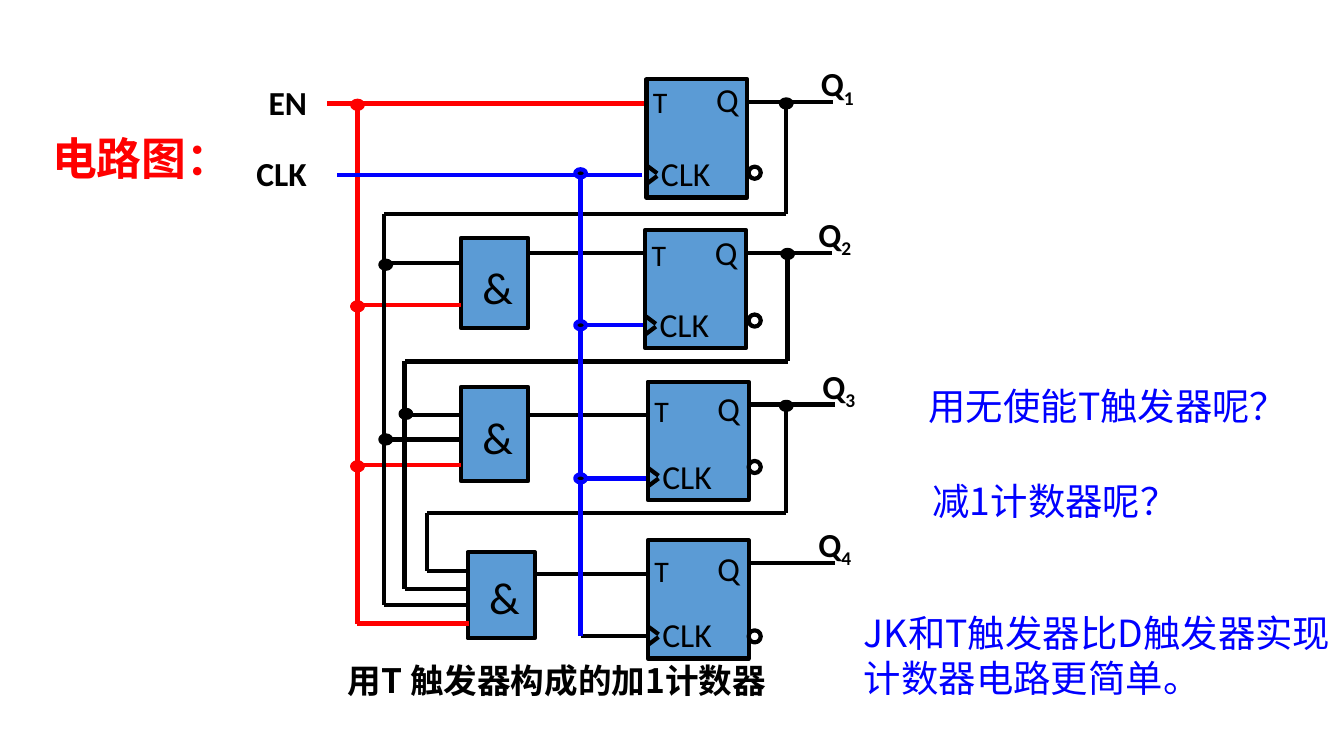
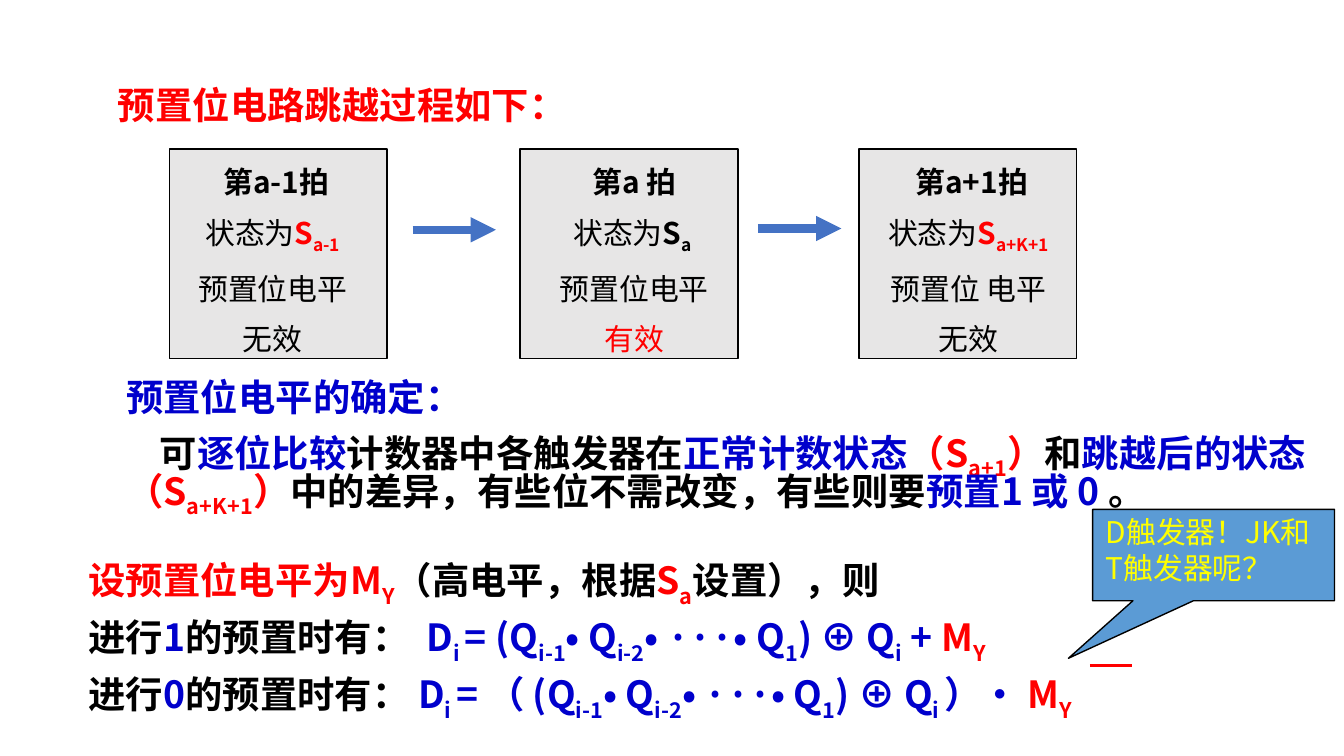
import pptx
import pptx.util
import pptx.dml.color
import pptx.enum.shapes
import pptx.enum.text
import pptx.oxml.xmlchemy

Inches = pptx.util.Inches
RGBColor = pptx.dml.color.RGBColor
SHAPE = pptx.enum.shapes.MSO_SHAPE
ALIGN = pptx.enum.text.PP_ALIGN

BLACK = RGBColor(0x00, 0x00, 0x00)
RED = RGBColor(0xFF, 0x00, 0x00)
BLUE = RGBColor(0x00, 0x00, 0xFF)
NAVY = RGBColor(0x00, 0x00, 0xCC)
BLOCK = RGBColor(0x5B, 0x9B, 0xD5)
ARROW = RGBColor(0x44, 0x72, 0xC4)
GREY = RGBColor(0xE7, 0xE6, 0xE6)
YELLOW = RGBColor(0xFF, 0xFF, 0x00)
LATIN, HAN = "Calibri", "Noto Sans CJK JP"


# Shared helpers
def add_node(parent, tag, **attrs):
    node = pptx.oxml.xmlchemy.OxmlElement(tag)
    for key, value in attrs.items():
        node.set(key, value)
    parent.append(node)


def fill_text(frame, paras, size=18, font=HAN, bold=False, align=ALIGN.LEFT,
              lead=None, gap=0):
    """Each paragraph lists (colour, text[, bold]); text between ~ marks is subscript."""
    for i, runs in enumerate(paras):
        para = frame.paragraphs[0] if i == 0 else frame.add_paragraph()
        para.alignment = align
        if lead:
            para.line_spacing = lead
        if i and gap:
            para.space_before = pptx.util.Pt(gap)
        for colour, words, *heavy in runs:
            for j, part in enumerate(words.split("~")):
                if not part:
                    continue
                run = para.add_run()
                run.text = part
                run.font.size = pptx.util.Pt(size)
                run.font.bold = heavy[0] if heavy else bold
                run.font.color.rgb = colour
                run.font.name = font
                props = run.font._element
                add_node(props, "a:ea", typeface=HAN)
                if j % 2:
                    props.set("baseline", "-25000")


def add_text(slide, box, words, colour=BLACK, wrap=True, grow=True, **form):
    shape = slide.shapes.add_textbox(*map(Inches, box))
    frame = shape.text_frame
    frame.word_wrap = wrap
    if grow:
        frame.auto_size = pptx.enum.text.MSO_AUTO_SIZE.SHAPE_TO_FIT_TEXT
    fill_text(frame, [[(colour, words)]] if isinstance(words, str) else words, **form)
    return shape


def add_box(slide, kind, box, fill, edge=BLACK, width=2.25):
    shape = slide.shapes.add_shape(kind, *map(Inches, box))
    shape.shadow.inherit = False
    if fill is None:
        shape.fill.background()
    else:
        shape.fill.solid()
        shape.fill.fore_color.rgb = fill
    shape.line.color.rgb = edge
    shape.line.width = pptx.util.Pt(width)
    return shape


def add_wire(slide, points, colour=BLACK, width=2.25, arrow=False):
    """Join the points in turn with straight lines."""
    for start, end in zip(points, points[1:]):
        line = slide.shapes.add_connector(
            pptx.enum.shapes.MSO_CONNECTOR.STRAIGHT, *map(Inches, (*start, *end)))
        line.line.color.rgb = colour
        line.line.width = pptx.util.Pt(width)
        if arrow:
            add_node(line.line._get_or_add_ln(), "a:tailEnd", type="triangle")
        add_node(line._element.spPr, "a:effectLst")


def add_dot(slide, x, y, fill=BLACK, edge=BLACK):
    add_box(slide, SHAPE.OVAL, (x - 0.04, y - 0.03, 0.08, 0.06), fill, edge)


# Circuit parts
def add_gate(slide, x, y, high, drop):
    add_box(slide, SHAPE.FLOWCHART_PROCESS, (x, y, 0.5, high), BLOCK)
    add_text(slide, (x + 0.06, y + drop, 0.39, 0.51), "&", size=24, font=LATIN)


def add_flip(slide, x, y, index, drop, ring, name):
    """One T flip-flop; drop shifts its pins, ring its inverted output, name its label."""
    add_wire(slide, [(x + 0.73, y + 0.17), (x + 1.39, y + 0.17)])
    add_box(slide, SHAPE.FLOWCHART_PROCESS, (x, y, 0.75, 0.88), BLOCK)
    add_wire(slide, [(x, y + 0.64), (x + 0.08, y + 0.7)])
    add_wire(slide, [(x + 0.08, y + 0.72), (x, y + 0.78)])
    add_text(slide, (x - 0.05, y + drop, 0.87, 0.37), "T", size=16, font=LATIN)
    add_text(slide, (x + 0.42, y + drop - 0.03, 0.37, 0.4), "Q", wrap=False, font=LATIN)
    add_text(slide, (x + 0.01, y + 0.5, 0.57, 0.4), "CLK", wrap=False, font=LATIN)
    add_box(slide, SHAPE.OVAL, (5.57, y + ring, 0.09, 0.09), None)
    add_text(slide, (x + name, y - 0.17, 0.46, 0.4), f"Q~{index}~",
             wrap=False, font=LATIN, bold=True)


def add_wires(slide):
    en, clk = 2.66, 4.32
    # Enable line and its taps
    add_wire(slide, [(4.79, 0.77), (2.43, 0.77)], RED)
    add_wire(slide, [(en, 0.76), (en, 4.64), (3.49, 4.64)], RED)
    for y in (2.27, 3.46):
        add_wire(slide, [(en, y), (3.43, y)], RED)
    # Outputs fed back to the last gate: out, top, turn, rail, end
    for out, top, turn, rail, end in ((5.85, 0.77, 1.59, 2.86, 4.5),
                                      (5.86, 1.92, 2.69, 3.01, 4.38),
                                      (5.85, 3.01, 3.82, 3.18, 4.25)):
        add_wire(slide, [(out, top), (out, turn), (rail, turn), (rail, end), (3.49, end)])
    # Other gate inputs, then gate outputs
    for x, y in ((2.86, 1.96), (3.01, 3.09), (2.86, 3.27)):
        add_wire(slide, [(x, y), (3.43, y)])
    for x, y in ((3.93, 1.88), (3.94, 3.09), (3.98, 4.27)):
        add_wire(slide, [(x, y), (4.81, y)])
    # Clock line and its taps
    add_wire(slide, [(4.82, 4.73), (clk, 4.73)])
    add_wire(slide, [(clk, 4.73), (clk, 1.3)], BLUE)
    add_wire(slide, [(4.78, 1.3), (2.51, 1.3)], BLUE)
    for y in (2.42, 3.56):
        add_wire(slide, [(4.81, y), (clk, y)], BLUE)
    # Junctions
    for x, y in ((2.87, 1.97), (2.87, 3.27), (3.02, 3.08),
                 (5.85, 0.77), (5.86, 1.89), (5.85, 3.02)):
        add_dot(slide, x, y)
    for y in (0.78, 2.28, 3.47):
        add_dot(slide, en, y, RED, RED)
    for y in (1.29, 2.42, 3.56):
        add_dot(slide, clk, y, BLACK, BLUE)


def draw_circuit(slide):
    add_text(slide, (0.29, 0.97, 1.92, 0.56), "电路图：", RED, grow=False,
             size=24, bold=True, lead=0.9)
    for gate in ((3.43, 1.77, 0.67, 0.11), (3.43, 2.88, 0.7, 0.12),
                 (3.48, 4.11, 0.64, 0.08)):
        add_gate(slide, *gate)
    add_wires(slide)
    for i, (x, y, *shifts) in enumerate(((4.81, 0.59, -0.02, 0.65, 1.2),
                                         (4.8, 1.71, 0, 0.63, 1.19),
                                         (4.82, 2.84, 0.03, 0.59, 1.2),
                                         (4.82, 4.02, 0.04, 0.67, 1.17)), 1):
        add_flip(slide, x, y, i, *shifts)
    # Input names, caption and questions
    for box, name in (((1.9, 0.56, 0.49, 0.4), "EN"), ((1.81, 1.09, 0.58, 0.4), "CLK")):
        add_text(slide, box, name, wrap=False, font=LATIN, bold=True)
    add_text(slide, (2.49, 4.86, 4.08, 0.4), "用T 触发器构成的加1计数器", bold=True)
    for box, words in (((6.81, 2.8, 2.8, 0.44), "用无使能T触发器呢？"),
                       ((6.84, 3.51, 2.93, 0.44), "减1计数器呢？"),
                       ((6.33, 4.49, 3.68, 0.77),
                        "JK和T触发器比D触发器实现计数器电路更简单。")):
        add_text(slide, box, words, BLUE, size=20)


# Preset slide parts
def add_card(slide, x, y, head, state, level, result, shift, width):
    add_box(slide, SHAPE.RECTANGLE, (x, y, 1.62, 1.56), GREY, width=0.75)
    add_text(slide, (x + shift, y + 0.06, width, 1.58), [
        [(BLACK, head, True)],
        [(BLACK, "状态为"), (*state, True)],
        [(BLACK, level)],
        [result],
    ], size=16, align=ALIGN.CENTER, gap=8)


def add_rules(slide, box):
    shape = add_text(slide, box, [
        [(NAVY, "预置位电平的确定：")],
        [(BLACK, "可"), (NAVY, "逐位比较"), (BLACK, "计数器中各触发器在"),
         (NAVY, "正常计数状态"), (RED, "（S~a+1~）"), (BLACK, "和"),
         (NAVY, "跳越后的状态"), (RED, "（S~a+K+1~）"),
         (BLACK, "中的差异，有些位不需改变，有些则要"),
         (NAVY, "预置1 或 0 "), (BLACK, "。")],
    ], size=20, bold=True, lead=0.75, gap=10)
    props = shape.text_frame.paragraphs[1]._p.get_or_add_pPr()
    props.set("indent", str(Inches(0.25)))


def add_sums(slide, box):
    core = "(Q~i-1~• Q~i-2~• ···• Q~1~) ⊕ Q~i"
    add_text(slide, box, [
        [(RED, "设预置位电平为M~Y~"), (BLACK, "（高电平，根据"), (RED, "S~a~"),
         (BLACK, "设置），则")],
        [(BLACK, "进行"), (NAVY, "1"), (BLACK, "的预置时有： "),
         (NAVY, f" D~i ~= {core}~ + "), (RED, "M~Y~")],
        [(BLACK, "进行"), (NAVY, "0"), (BLACK, "的预置时有： "),
         (NAVY, f"D~i ~= （ {core} ~）•"), (RED, " M~Y~")],
    ], size=20, bold=True, lead=0.75, gap=10)
    # Bar over the last M
    x, y = box[0] + 7.55, box[1] + 0.8
    add_wire(slide, [(x, y), (x + 0.31, y)], RED, 1.75)


def add_call(slide, box):
    shape = add_box(slide, SHAPE.RECTANGULAR_CALLOUT, box, BLOCK, width=0.75)
    shape.adjustments[0] = -0.6
    shape.adjustments[1] = 1.13
    frame = shape.text_frame
    frame.word_wrap = True
    frame.vertical_anchor = pptx.enum.text.MSO_ANCHOR.TOP
    frame.margin_top = Inches(0.03)
    fill_text(frame, [[(YELLOW, "D触发器！JK和T触发器呢？")]], size=16)


def draw_preset(slide):
    add_text(slide, (0.78, 0.6, 5.63, 0.62), "预置位电路跳越过程如下：", RED,
             grow=False, size=20, font=LATIN, bold=True, lead=0.9)
    idle, live = (BLACK, "无效"), (RED, "有效")
    for card in (
            (1.26, 1.11, " 第a-1拍", (RED, "S~a-1~"), "预置位电平", idle, 0, 1.54),
            (3.87, 1.11, "第a 拍", (BLACK, "S~a ~"), "预置位电平", live, 0.08, 1.54),
            (6.39, 1.11, " 第a+1拍", (RED, "S~a+K+1~"), "预置位 电平", idle, -0.15, 1.93)):
        add_card(slide, *card)
    for x, y in ((3.07, 1.71), (5.64, 1.7)):
        add_wire(slide, [(x, y), (x + 0.62, y)], ARROW, 4.5, arrow=True)
    add_rules(slide, (0.84, 2.81, 9.03, 1.02))
    add_sums(slide, (0.56, 4.15, 8.33, 1.19))
    add_call(slide, (8.13, 3.79, 1.8, 0.68))


def main():
    deck = pptx.Presentation()
    # Widescreen, 16 to 9
    deck.slide_width = Inches(10)
    deck.slide_height = Inches(10) * 9 // 16
    for draw in (draw_circuit, draw_preset):
        draw(deck.slides.add_slide(deck.slide_layouts[6]))
    deck.save("out.pptx")


if __name__ == "__main__":
    main()
